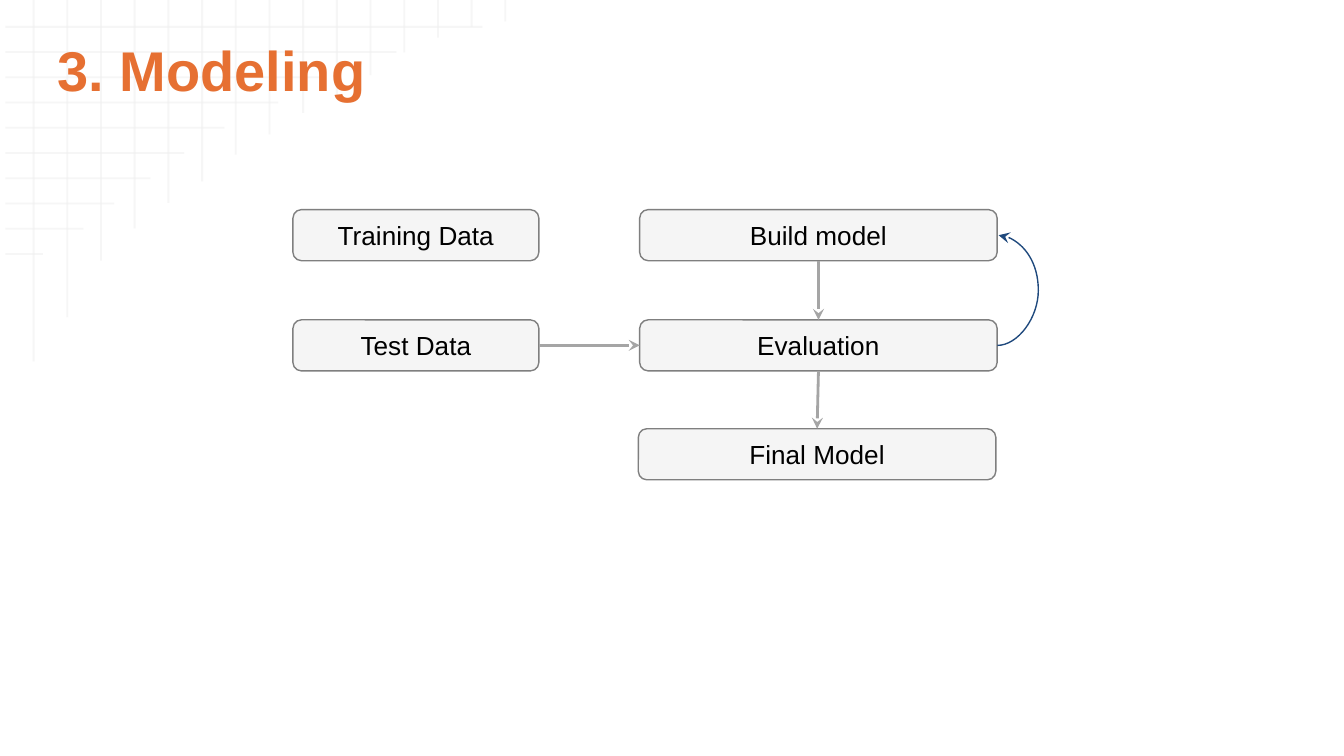
from lxml import etree
from pptx import Presentation
from pptx.dml.color import RGBColor
from pptx.enum.shapes import MSO_CONNECTOR, MSO_SHAPE
from pptx.enum.text import MSO_ANCHOR, PP_ALIGN
from pptx.oxml.ns import qn
from pptx.util import Inches, Pt

STRAIGHT, CURVE = MSO_CONNECTOR.STRAIGHT, MSO_CONNECTOR.CURVE
ROUNDED = MSO_SHAPE.ROUNDED_RECTANGLE
MIDDLE = MSO_ANCHOR.MIDDLE
LEFT, CENTER = PP_ALIGN.LEFT, PP_ALIGN.CENTER
TOP_SIDE, LEFT_SIDE, BOTTOM_SIDE, RIGHT_SIDE = range(4)


def color(value):
    return RGBColor.from_string(value)


def style_line(connector, line_color, width, opacity=None, arrow=False):
    connector.line.color.rgb = color(line_color)
    connector.line.width = Pt(width)
    properties = connector._element.spPr
    if opacity:
        tint = properties.find(".//" + qn("a:srgbClr"))
        etree.SubElement(tint, qn("a:alpha"), val=str(opacity * 1000))
    if arrow:
        etree.SubElement(properties.find(qn("a:ln")), qn("a:tailEnd"), type="stealth")
    etree.SubElement(properties, qn("a:effectLst"))


# A 16:9 page
deck = Presentation()
deck.slide_width = Inches(10)
deck.slide_height = Inches(10 * 9 / 16)
page = deck.slides.add_slide(deck.slide_layouts[5])
shapes = page.shapes

# Faint background grid: evenly spaced lines of decreasing length
row_ends = [3.59, 2.95, 2.41, 2.07, 1.67, 1.37, 1.12, 0.85, 0.62, 0.32]
column_ends = [2.69, 2.36, 1.94, 1.7, 1.51, 1.35, 1.15, 1,
               0.84, 0.72, 0.56, 0.39, 0.28, 0.2, 0.16]
grid = []
for row, end in enumerate(row_ends):
    y = 0.2 + row * 1.69 / 9
    grid.append((0.04, y, end, y))
for column, end in enumerate(column_ends):
    x = 0.25 + column * 3.51 / 14
    grid.append((x, end, x, 0))
for ends in grid:
    grid_line = shapes.add_connector(STRAIGHT, *[Inches(value) for value in ends])
    style_line(grid_line, "EFEFEF", 1, opacity=54)

# Title, brought in front of the grid
title = shapes.title
shapes._spTree.append(title._element)
place = {"left": 0.33, "top": 0.19, "width": 9, "height": 0.65}
for name, value in place.items():
    setattr(title, name, Inches(value))
frame = title.text_frame
frame.word_wrap = True
frame.vertical_anchor = MIDDLE
for side in ("left", "top", "right", "bottom"):
    setattr(frame, "margin_" + side, Inches(0.1))
para = frame.paragraphs[0]
para.alignment = LEFT
span = para.add_run()
span.text = "3. Modeling"
title_font = {"name": "Arial", "size": Pt(30), "bold": True}
for name, value in title_font.items():
    setattr(span.font, name, value)
span.font.color.rgb = color("E67032")

# Process boxes
steps = [
    ("Build model", 4.76, 1.56, 2.66),
    ("Evaluation", 4.76, 2.38, 2.66),
    ("Test Data", 2.18, 2.38, 1.83),
    ("Final Model", 4.75, 3.19, 2.66),
    ("Training Data", 2.18, 1.56, 1.83),
]
boxes = {}
for label, left, top, width in steps:
    box = shapes.add_shape(ROUNDED, Inches(left), Inches(top), Inches(width), Inches(0.38))
    box.shadow.inherit = False
    box.fill.solid()
    box.fill.fore_color.rgb = color("F2F2F2")
    tint = box._element.spPr.find(qn("a:solidFill")).find(qn("a:srgbClr"))
    etree.SubElement(tint, qn("a:alpha"), val="70000")
    box.line.color.rgb = color("7F7F7F")
    box.line.width = Pt(0.75)
    box.text_frame.vertical_anchor = MIDDLE
    para = box.text_frame.paragraphs[0]
    para.alignment = CENTER
    span = para.add_run()
    span.text = label
    span.font.name = "Arial"
    span.font.size = Pt(14)
    span.font.color.rgb = color("000000")
    boxes[label] = box

# Arrows between the boxes
arrows = [
    (STRAIGHT, "Build model", BOTTOM_SIDE, "Evaluation", TOP_SIDE, "A5A5A5", 1.5),
    (STRAIGHT, "Test Data", RIGHT_SIDE, "Evaluation", LEFT_SIDE, "A5A5A5", 1.5),
    (STRAIGHT, "Evaluation", BOTTOM_SIDE, "Final Model", TOP_SIDE, "A5A5A5", 1.5),
    (CURVE, "Evaluation", RIGHT_SIDE, "Build model", RIGHT_SIDE, "1F497D", 0.75),
]
for kind, source, source_side, target, target_side, line_color, width in arrows:
    arrow = shapes.add_connector(kind, 0, 0, 0, 0)
    arrow.begin_connect(boxes[source], source_side)
    arrow.end_connect(boxes[target], target_side)
    style_line(arrow, line_color, width, arrow=True)

# Feedback curve: bulges 0.31 inches to the right of the boxes
feedback = arrow
feedback.width = Inches(0.01)
transform = feedback._element.spPr.find(qn("a:xfrm"))
transform.attrib.pop("flipV", None)
transform.set("rot", "10800000")
transform.set("flipH", "1")
geometry = feedback._element.spPr.find(qn("a:prstGeom"))
guides = geometry.find(qn("a:avLst"))
if guides is None:
    guides = etree.SubElement(geometry, qn("a:avLst"))
etree.SubElement(guides, qn("a:gd"), name="adj1", fmla="val 3100000")

deck.save("out.pptx")
